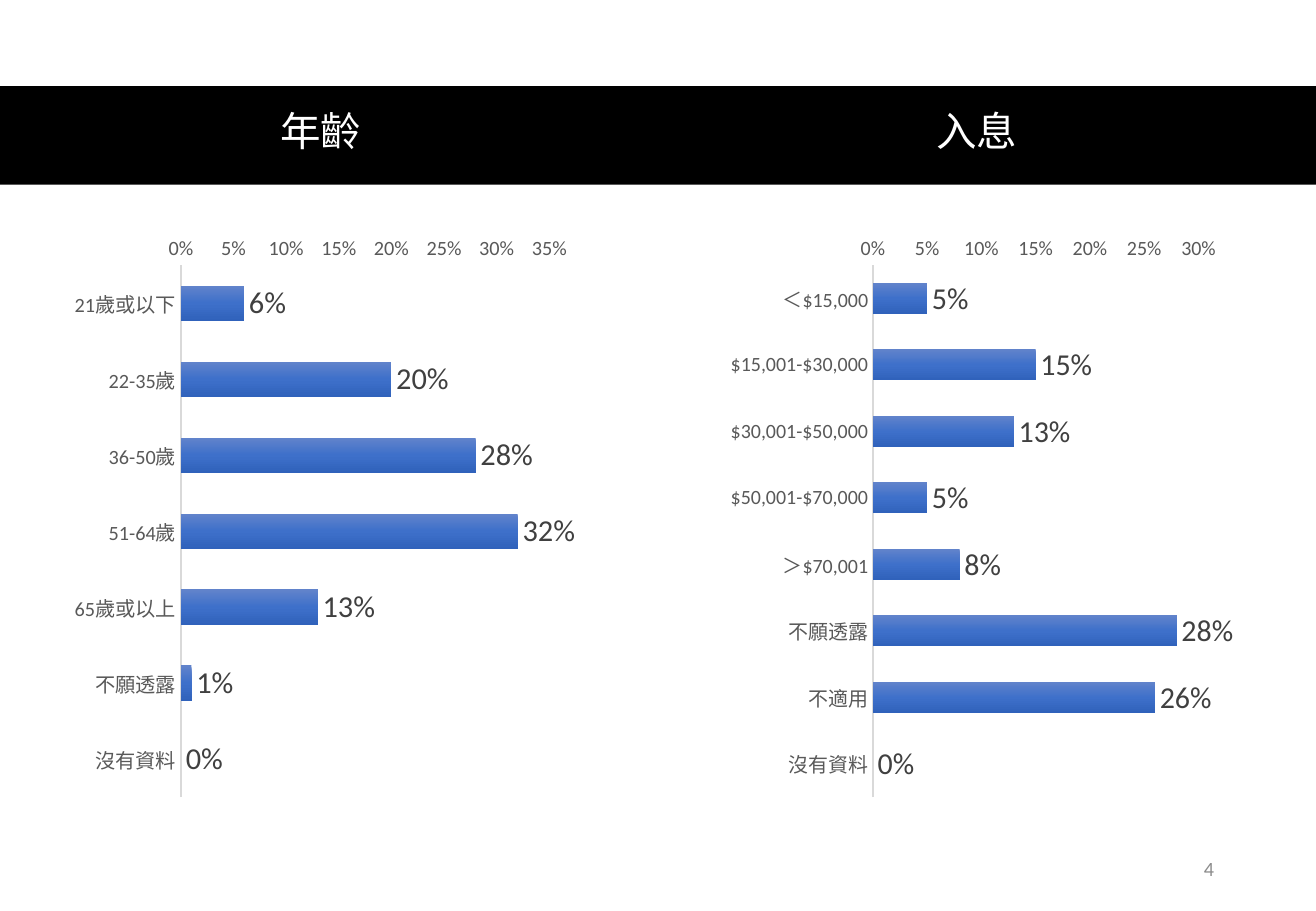
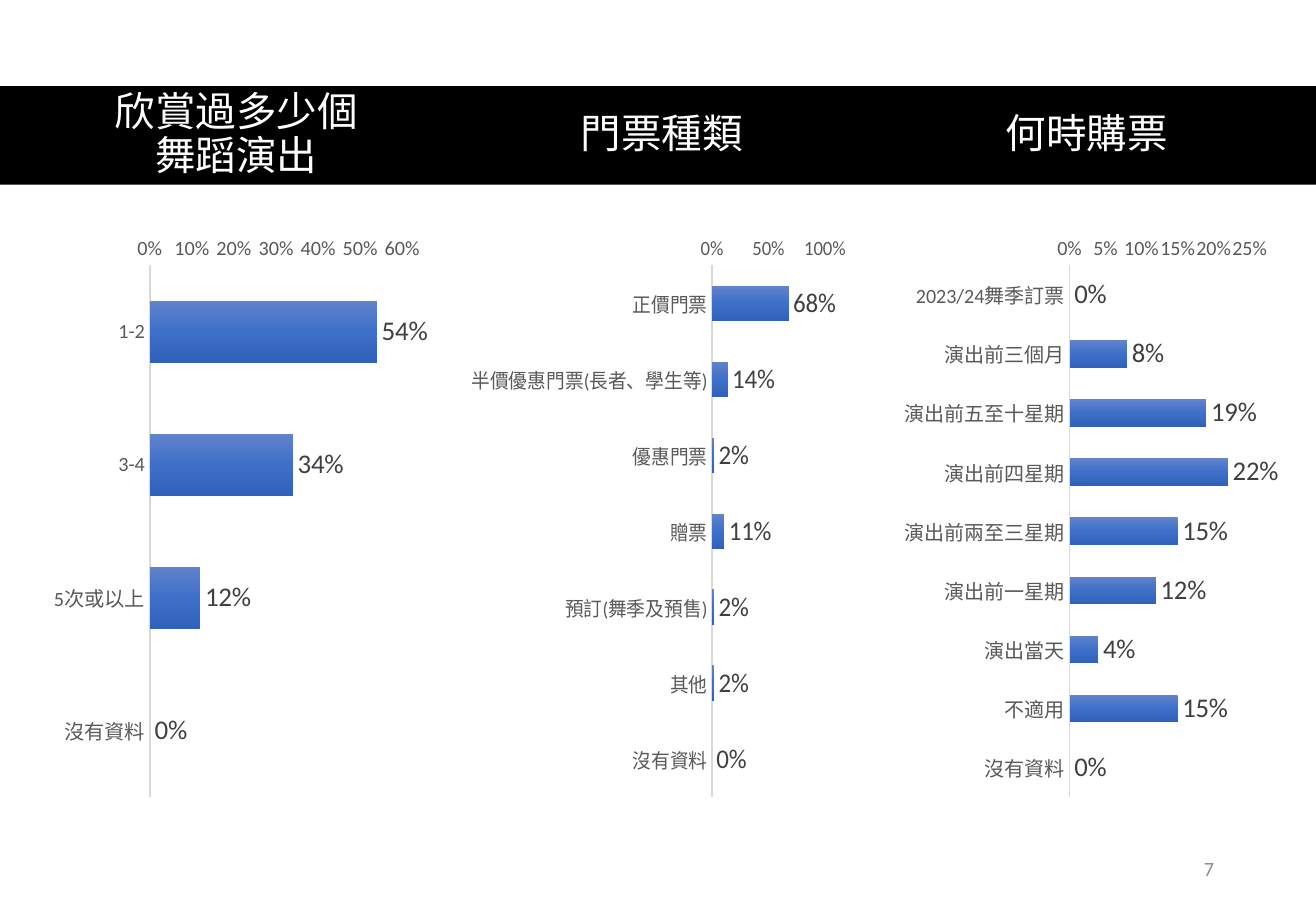
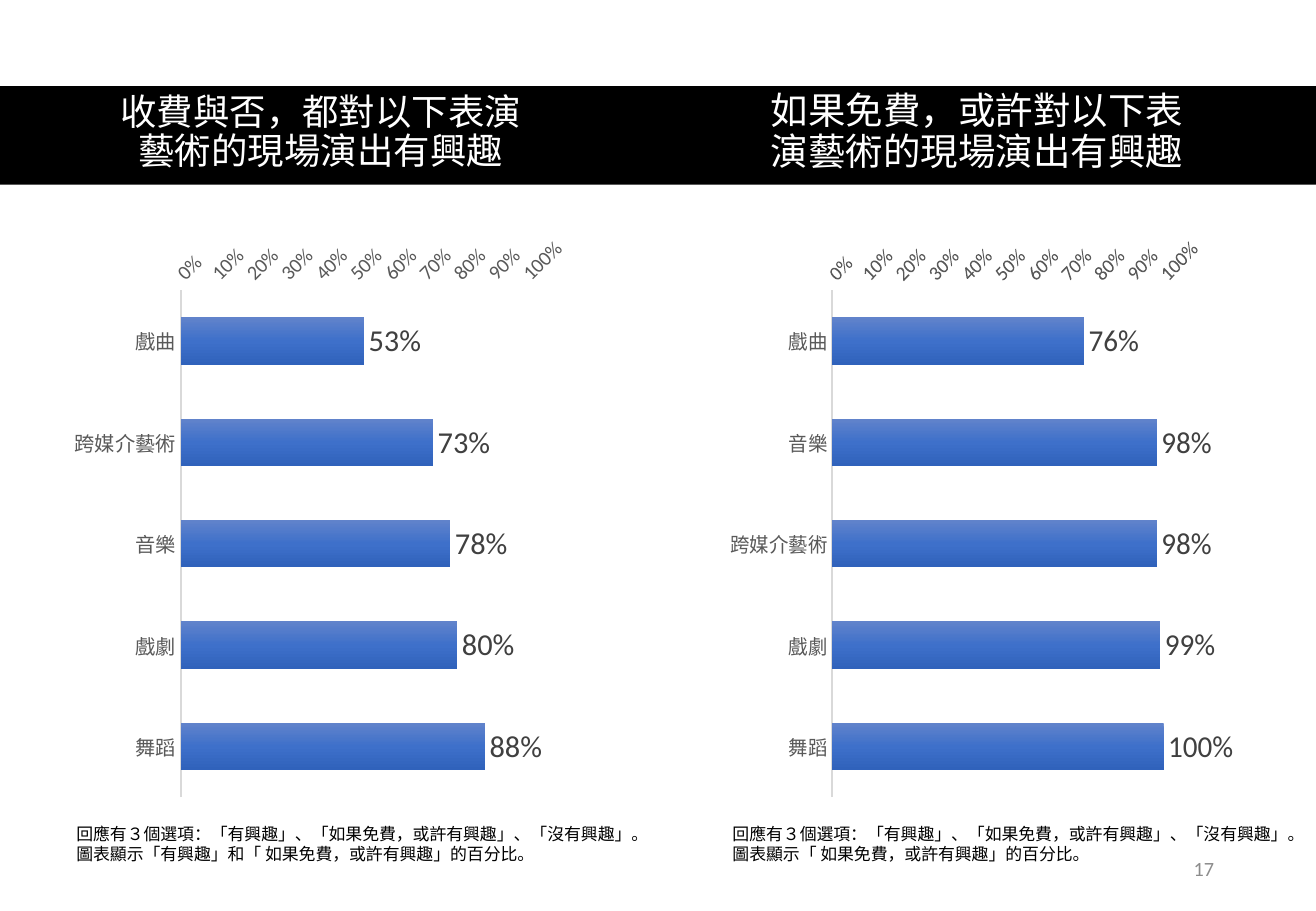
import copy
from dataclasses import dataclass

import pptx
import pptx.chart.data
import pptx.dml.color
import pptx.enum.chart
import pptx.enum.shapes
import pptx.enum.text
import pptx.oxml.ns
import pptx.util

Inches, Pt = pptx.util.Inches, pptx.util.Pt
RGBColor = pptx.dml.color.RGBColor
Align = pptx.enum.text.PP_ALIGN
Anchor = pptx.enum.text.MSO_ANCHOR
AutoSize = pptx.enum.text.MSO_AUTO_SIZE

WHITE = RGBColor(0xFF, 0xFF, 0xFF)
BLACK = RGBColor(0x00, 0x00, 0x00)
AXIS_TEXT = RGBColor(0x59, 0x59, 0x59)
AXIS_LINE = RGBColor(0xD9, 0xD9, 0xD9)
LABEL_TEXT = RGBColor(0x40, 0x40, 0x40)
PAGE_TEXT = RGBColor(0x8C, 0x8C, 0x8C)
BAR_GRADIENT = (
    (0.0, RGBColor(0x61, 0x83, 0xCB)),
    (0.5, RGBColor(0x3E, 0x70, 0xCA)),
    (1.0, RGBColor(0x30, 0x62, 0xBB)),
)

HEADING_FONT, CHART_FONT, NOTE_FONT = "Roboto", "Calibri", "Noto Sans CJK SC"
SLIDE_W, SLIDE_H = 10.83, 7.5
BAND_TOP, BAND_H = 0.71, 0.81
CHART_TOP, CHART_H = 1.85, 4.81
NOTE_TOP, NOTE_W, NOTE_H = 6.73, 4.97, 0.44
NO_DATA = "沒有資料"
UNDISCLOSED = "不願透露"
OPTIONS_NOTE = "回應有３個選項：「有興趣」、「如果免費，或許有興趣」、「沒有興趣」。\n"


@dataclass(frozen=True)
class Grid:
    """Equal columns, each a heading over a chart; lengths in inches."""
    pitch: float
    heading_left: float
    heading_top: float
    heading_w: float
    chart_left: float
    chart_w: float
    label_size: float


@dataclass(frozen=True)
class Panel:
    heading: str
    bars: dict[str, float]
    heading_size: float = 24
    axis_max: float | None = None
    note: str = ""


@dataclass(frozen=True)
class Page:
    number: int
    grid: Grid
    panels: tuple[Panel, ...]


TWO_COLUMNS = Grid(5.4, 0.78, 0.69, 3.72, 0.53, 4.22, 18)
THREE_COLUMNS = Grid(3.5, 0.69, 0.71, 2.51, 0.38, 3.14, 16)

PAGES = (
    Page(4, TWO_COLUMNS, (
        Panel("年齡", {
            "21歲或以下": 0.06, "22-35歲": 0.2, "36-50歲": 0.28, "51-64歲": 0.32,
            "65歲或以上": 0.13, UNDISCLOSED: 0.01, NO_DATA: 0,
        }),
        Panel("入息", {
            "＜$15,000": 0.05, "$15,001-$30,000": 0.15, "$30,001-$50,000": 0.13,
            "$50,001-$70,000": 0.05, "＞$70,001": 0.08, UNDISCLOSED: 0.28,
            "不適用": 0.26, NO_DATA: 0,
        }),
    )),
    Page(7, THREE_COLUMNS, (
        Panel("欣賞過多少個舞蹈演出", {
            "1-2": 0.54, "3-4": 0.34, "5次或以上": 0.12, NO_DATA: 0,
        }),
        Panel("門票種類", {
            "正價門票": 0.68, "半價優惠門票(長者、學生等)": 0.14, "優惠門票": 0.02,
            "贈票": 0.11, "預訂(舞季及預售)": 0.02, "其他": 0.02, NO_DATA: 0,
        }),
        Panel("何時購票", {
            "2023/24舞季訂票": 0, "演出前三個月": 0.08, "演出前五至十星期": 0.19,
            "演出前四星期": 0.22, "演出前兩至三星期": 0.15, "演出前一星期": 0.12,
            "演出當天": 0.04, "不適用": 0.15, NO_DATA: 0,
        }),
    )),
    Page(17, TWO_COLUMNS, (
        Panel(
            "收費與否，都對以下表演藝術的現場演出有興趣",
            {"戲曲": 0.53, "跨媒介藝術": 0.73, "音樂": 0.78, "戲劇": 0.8, "舞蹈": 0.88},
            21.6, 1, OPTIONS_NOTE + "圖表顯示「有興趣」和「 如果免費，或許有興趣」的百分比。",
        ),
        Panel(
            "如果免費，或許對以下表演藝術的現場演出有興趣",
            {"戲曲": 0.76, "音樂": 0.98, "跨媒介藝術": 0.98, "戲劇": 0.99, "舞蹈": 1},
            22.2, 1, OPTIONS_NOTE + "圖表顯示「 如果免費，或許有興趣」的百分比。",
        ),
    )),
)


def set_font(font, size: float, color: RGBColor, name: str = CHART_FONT) -> None:
    font.size, font.name = Pt(size), name
    font.color.rgb = color


def write_text(sp, text: str, *, size: float, color: RGBColor, font: str,
               align=Align.LEFT, anchor=Anchor.MIDDLE, spacing: float = 1.0,
               wrap: bool = True, grow: bool = False) -> None:
    """Fill a shape with one paragraph per line of text."""
    tf = sp.text_frame
    tf.word_wrap = wrap
    tf.auto_size = AutoSize.SHAPE_TO_FIT_TEXT if grow else AutoSize.NONE
    tf.vertical_anchor = anchor
    for i, line in enumerate(text.split("\n")):
        p = tf.add_paragraph() if i else tf.paragraphs[0]
        p.alignment, p.line_spacing = align, spacing
        r = p.add_run()
        r.text = line
        set_font(r.font, size, color, font)


def add_textbox(slide, left: float, top: float, width: float, height: float):
    return slide.shapes.add_textbox(*map(Inches, (left, top, width, height)))


def add_band(slide, layout) -> None:
    """Draw the heading band and hand it to the layout, behind every slide."""
    band = slide.shapes.add_shape(
        pptx.enum.shapes.MSO_SHAPE.RECTANGLE, 0, Inches(BAND_TOP),
        Inches(SLIDE_W), Inches(BAND_H))
    band.shadow.inherit = False
    band.fill.solid()
    band.fill.fore_color.rgb = BLACK
    band.line.fill.background()
    layout.shapes._spTree.append(band._element)


def add_heading(slide, grid: Grid, column: int, panel: Panel) -> None:
    """The first heading is the slide's title; the others are text boxes."""
    box = (grid.heading_left + column * grid.pitch, grid.heading_top,
           grid.heading_w, BAND_H)
    if column:
        sp = add_textbox(slide, *box)
    else:
        sp = slide.shapes.title
        sp.left, sp.top, sp.width, sp.height = map(Inches, box)
    write_text(sp, panel.heading, size=panel.heading_size, color=WHITE,
               font=HEADING_FONT, align=Align.CENTER, spacing=0.9)


def fill_gradient(series) -> None:
    fill = series.format.fill
    fill.gradient()
    fill.gradient_angle = 270
    stops = series._element.find(".//" + pptx.oxml.ns.qn("a:gsLst"))
    stops.append(copy.deepcopy(stops[0]))
    for stop, (position, color) in zip(fill.gradient_stops, BAR_GRADIENT):
        stop.position, stop.color.rgb = position, color


def add_bar_chart(slide, grid: Grid, column: int, panel: Panel) -> None:
    data = pptx.chart.data.CategoryChartData(number_format="0%")
    data.categories = panel.bars.keys()
    data.add_series("Series 1", panel.bars.values())
    chart = slide.shapes.add_chart(
        pptx.enum.chart.XL_CHART_TYPE.BAR_CLUSTERED,
        Inches(grid.chart_left + column * grid.pitch), Inches(CHART_TOP),
        Inches(grid.chart_w), Inches(CHART_H), data).chart
    chart.has_legend = chart.has_title = False
    set_font(chart.font, 10, BLACK)

    for axis in (chart.category_axis, chart.value_axis):
        axis.has_major_gridlines = False
        axis.major_tick_mark = pptx.enum.chart.XL_TICK_MARK.NONE
        axis.minor_tick_mark = pptx.enum.chart.XL_TICK_MARK.NONE
        set_font(axis.tick_labels.font, 12, AXIS_TEXT)
    chart.category_axis.reverse_order = True
    chart.category_axis.format.line.color.rgb = AXIS_LINE
    chart.category_axis.format.line.width = Pt(1)
    values = chart.value_axis
    values.format.line.fill.background()
    values.tick_labels.number_format = "0%"
    values.tick_labels.number_format_is_linked = False
    values.minimum_scale = 0
    if panel.axis_max is not None:
        values.maximum_scale = panel.axis_max

    plot = chart.plots[0]
    plot.gap_width, plot.overlap, plot.vary_by_categories = 115, -20, False
    fill_gradient(plot.series[0])
    plot.has_data_labels = True
    labels = plot.data_labels
    labels.show_value = True
    labels.number_format, labels.number_format_is_linked = "0%", False
    labels.position = pptx.enum.chart.XL_LABEL_POSITION.OUTSIDE_END
    set_font(labels.font, grid.label_size, LABEL_TEXT)


def add_page(prs, layout, page: Page):
    slide = prs.slides.add_slide(layout)
    for column, panel in enumerate(page.panels):
        add_heading(slide, page.grid, column, panel)
        add_bar_chart(slide, page.grid, column, panel)
        if panel.note:
            left = page.grid.chart_left + column * page.grid.pitch
            sp = add_textbox(slide, left, NOTE_TOP, NOTE_W, NOTE_H)
            write_text(sp, panel.note, size=10, color=BLACK, font=NOTE_FONT,
                       anchor=Anchor.TOP, wrap=False, grow=True)
    sp = add_textbox(slide, 7.65, 6.95, 2.44, 0.4)
    write_text(sp, str(page.number), size=12, color=PAGE_TEXT, font=CHART_FONT,
               align=Align.RIGHT)
    return slide


def main() -> None:
    prs = pptx.Presentation()
    prs.slide_width, prs.slide_height = Inches(SLIDE_W), Inches(SLIDE_H)
    layout = prs.slide_layouts.get_by_name("Title Only")
    slides = [add_page(prs, layout, page) for page in PAGES]
    add_band(slides[0], layout)
    prs.save("out.pptx")


if __name__ == "__main__":
    main()
